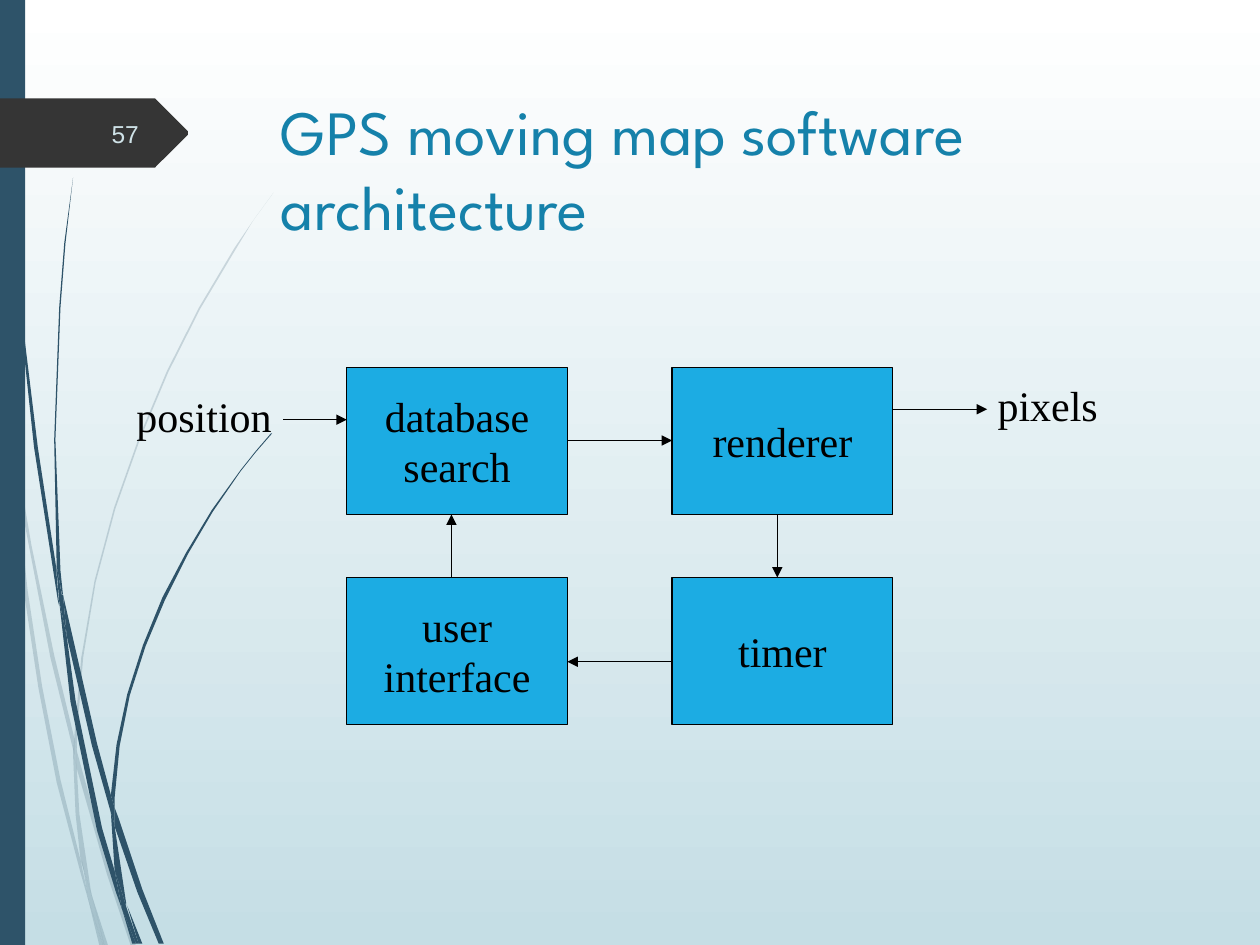
"""Build the slide on the software architecture of a GPS moving map."""
from lxml import etree
from pptx import Presentation
from pptx import util as u
from pptx.dml.color import RGBColor
from pptx.enum import shapes, text
from pptx.oxml.ns import qn

WHITE = RGBColor(0xFF, 0xFF, 0xFF)
MIST = RGBColor(0xC5, 0xDE, 0xE5)
NAVY = RGBColor(0x2E, 0x53, 0x69)
COAL = RGBColor(0x35, 0x35, 0x35)
TEAL = RGBColor(0x15, 0x81, 0xAA)
PALE = RGBColor(0xCF, 0xE2, 0xE7)
BLUE = RGBColor(0x1C, 0xAC, 0xE3)
BLACK = RGBColor(0, 0, 0)

SERIF = "Times New Roman"
WIDE, HIGH = u.Cm(25.4), u.Cm(19.05)
UNIT = WIDE / 1000
LEFT, RIGHT = 6.99, 13.55
TOP, LOW = 7.41, 11.64
BOX_W, BOX_H = 4.45, 2.96

TAG = [(149, 107), (124, 132), (123, 133), (121, 133), (112, 133), (0, 133),
       (0, 78), (112, 78), (121, 78), (123, 78), (124, 79), (149, 104)]

# Outlines of the strand parts, in thousandths of the slide width.
FAINT = [
    [(8, 350), (6, 322), (0, 282), (0, 299), (7, 344)],
    [(40, 522), (59, 599), (59, 586), (43, 520), (25, 433), (10, 345), (12, 376)],
    [(64, 607), (61, 596), (61, 610), (85, 694), (104, 751), (108, 751), (88, 692)],
    [(83, 751), (86, 751), (73, 711)],
    [(64, 683), (48, 619), (33.5, 545), (22, 469), (12, 376), (8, 350), (19, 470),
     (30.5, 546), (45, 621), (64, 693), (70, 714), (69, 707)],
    [(58, 599), (60, 646), (64, 683), (67, 692), (73, 711), (72, 706), (63, 646),
     (61, 610), (61, 608)],
    [(61, 584), (66, 522), (76, 462), (91.5, 404), (111, 349), (133.5, 295.5),
     (159, 245), (187, 198), (201, 175), (217, 153), (201, 175), (186, 197),
     (158, 244), (132.5, 294.5), (110, 348), (90.5, 403), (75, 461), (64.5, 522),
     (59, 584), (59, 586), (61, 596)],
    [(70, 714), (79, 751), (82, 751)],
    [(61, 608), (61, 610), (61, 596), (59, 586), (58, 599)],
    [(67, 692), (65, 683), (69, 707), (70, 714), (82, 751), (83, 751), (73, 711)],
]
STRONG = [
    [(5, 110), (14, 233), (27, 355), (46, 477), (47, 481), (45, 457), (45, 453),
     (30, 355), (15, 232), (6, 109), (4, 48), (3, 0), (2, 0), (4, 48)],
    [(73, 592), (88, 645), (88, 633), (88, 631), (77, 590), (50, 472), (53, 505)],
    [(94, 649), (91, 641), (91, 656), (109, 708), (126, 749), (130, 749), (113, 706)],
    [(91, 691), (81, 657), (60, 556), (53, 505), (47, 477), (56, 557), (77, 659),
     (92, 708), (97, 722), (96, 717)],
    [(50, 472), (48, 453), (44, 349), (48, 244), (52, 193), (58, 141), (51, 193),
     (47, 244), (43, 349), (45, 449), (49, 471)],
    [(110, 749), (113, 749), (101, 719)],
    [(47, 477), (53, 505), (50, 472), (49, 472), (45, 449), (45, 453)],
    [(91, 633), (95, 592), (103, 552), (115.5, 513), (131, 476), (149, 440),
     (169, 406), (191, 374), (203, 359), (216, 344), (215, 344), (203, 358),
     (191, 373), (168, 405), (147.5, 439), (129, 474), (113.5, 512), (101, 551),
     (92.5, 591), (88, 631), (91, 641)],
    [(97, 722), (105, 749), (108, 749)],
    [(88, 645), (91, 691), (96, 706), (100, 719), (100, 716), (91, 656), (90, 651)],
    [(88, 645), (90, 651), (91, 656), (91, 641), (88, 631), (88, 633)],
    [(96, 706), (91, 691), (96, 717), (97, 722), (108, 749), (110, 749), (100, 719)],
]


def paint(shape, color):
    """Give a shape a plain fill with no shadow and no line."""
    shape.shadow.inherit = False
    shape.fill.solid()
    shape.fill.fore_color.rgb = color
    shape.line.fill.background()


def outline(home, points, color, alpha=None):
    """Draw a closed outline, see-through if alpha is given."""
    spots = [(round(x * UNIT), round(y * UNIT)) for x, y in points]
    form = home.build_freeform(*spots[0])
    form.add_line_segments(spots[1:], close=True)
    shape = form.convert_to_shape()
    paint(shape, color)
    if alpha:
        tint = next(shape.fill._xPr.iter(qn("a:srgbClr")))
        etree.SubElement(tint, qn("a:alpha")).set("val", str(alpha * 1000))


def strands(slide, parts, alpha=None):
    """Draw a group of thin strands from its parts."""
    group = slide.shapes.add_group_shape()
    for points in parts:
        outline(group.shapes, points, NAVY, alpha)


def write(shape, lines, size, font, color, align, anchor, wrap=False):
    """Fill a shape with one paragraph for each line."""
    frame = shape.text_frame
    frame.word_wrap = wrap
    frame.auto_size = text.MSO_AUTO_SIZE.NONE
    frame.vertical_anchor = anchor
    for i, line in enumerate(lines):
        para = frame.add_paragraph() if i else frame.paragraphs[0]
        para.alignment = align
        run = para.add_run()
        run.text = line
        run.font.size = u.Pt(size)
        run.font.name = font
        run.font.color.rgb = color


def label(slide, x, y, w, h, word, size=24, font=SERIF, color=BLACK,
          align=text.PP_ALIGN.LEFT, anchor=text.MSO_ANCHOR.TOP):
    """Add a one-line text box."""
    box = slide.shapes.add_textbox(u.Cm(x), u.Cm(y), u.Cm(w), u.Cm(h))
    write(box, [word], size, font, color, align, anchor)


def block(slide, x, y, *lines):
    """Add a box for one software part."""
    box = slide.shapes.add_shape(shapes.MSO_SHAPE.RECTANGLE, u.Cm(x), u.Cm(y),
                                 u.Cm(BOX_W), u.Cm(BOX_H))
    paint(box, BLUE)
    box.line.color.rgb = BLACK
    box.line.width = u.Pt(0.75)
    write(box, lines, 24, SERIF, BLACK, text.PP_ALIGN.CENTER, text.MSO_ANCHOR.MIDDLE)


def arrow(slide, *ends):
    """Add an arrow from the first point to the second."""
    line = slide.shapes.add_connector(shapes.MSO_CONNECTOR.STRAIGHT,
                                      *(u.Cm(n) for n in ends))
    line.line.color.rgb = BLACK
    line.line.width = u.Pt(0.75)
    etree.SubElement(line.line._get_or_add_ln(), qn("a:tailEnd")).set("type", "triangle")
    etree.SubElement(line._element.spPr, qn("a:effectLst"))


def decor(slide):
    """Add the backdrop, the strands, the side bar and the number tag."""
    fill = slide.background.fill
    fill.gradient()
    fill.gradient_angle = 270
    for stop, color in zip(fill.gradient_stops, (WHITE, MIST)):
        stop.color.rgb = color
    strands(slide, FAINT, 20)
    strands(slide, STRONG)
    bar = slide.shapes.add_shape(shapes.MSO_SHAPE.RECTANGLE, 0, 0, u.Cm(0.51), HIGH)
    paint(bar, NAVY)
    outline(slide.shapes, TAG, COAL)


def head(slide, words):
    """Place and fill the title."""
    title = slide.shapes.title
    title.left, title.top = u.Cm(5.41), u.Cm(1.73)
    title.width, title.height = u.Cm(18.31), u.Cm(3.56)
    write(title, [words], 36, "League Spartan", TEAL, text.PP_ALIGN.LEFT,
          text.MSO_ANCHOR.TOP, wrap=True)


def main():
    """Build and save the slide."""
    deck = Presentation()
    deck.slide_width, deck.slide_height = WIDE, HIGH
    slide = deck.slides.add_slide(deck.slide_layouts[5])
    decor(slide)
    head(slide, "GPS moving map software architecture")
    label(slide, 1.42, 2.18, 1.63, 1.02, "57", 14, "Arial", PALE,
          text.PP_ALIGN.RIGHT, text.MSO_ANCHOR.MIDDLE)
    label(slide, 2.5, 7.75, 3.23, 1.27, "position")
    block(slide, LEFT, TOP, "database", "search")
    block(slide, RIGHT, TOP, "renderer")
    block(slide, RIGHT, LOW, "timer")
    block(slide, LEFT, LOW, "user", "interface")
    label(slide, 19.86, 7.52, 2.51, 1.27, "pixels")
    near, far = LEFT + BOX_W, RIGHT + BOX_W
    base = TOP + BOX_H
    arrow(slide, 5.71, 8.46, LEFT, 8.46)
    arrow(slide, far, 8.25, 19.9, 8.25)
    arrow(slide, near, 8.88, RIGHT, 8.88)
    arrow(slide, 15.67, base, 15.67, LOW)
    arrow(slide, RIGHT, 13.34, near, 13.34)
    arrow(slide, 9.1, LOW, 9.1, base)
    deck.save("out.pptx")


if __name__ == "__main__":
    main()
